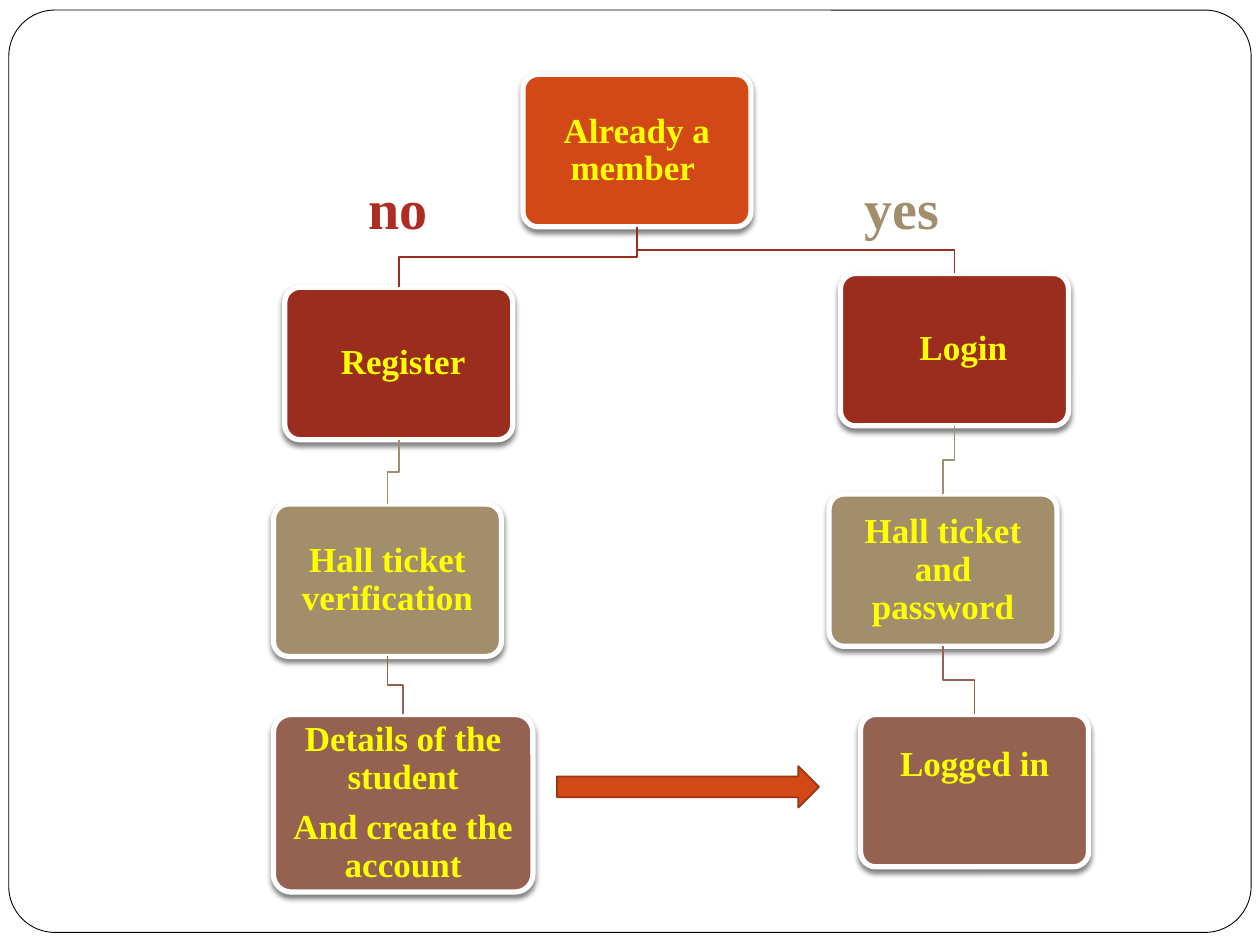
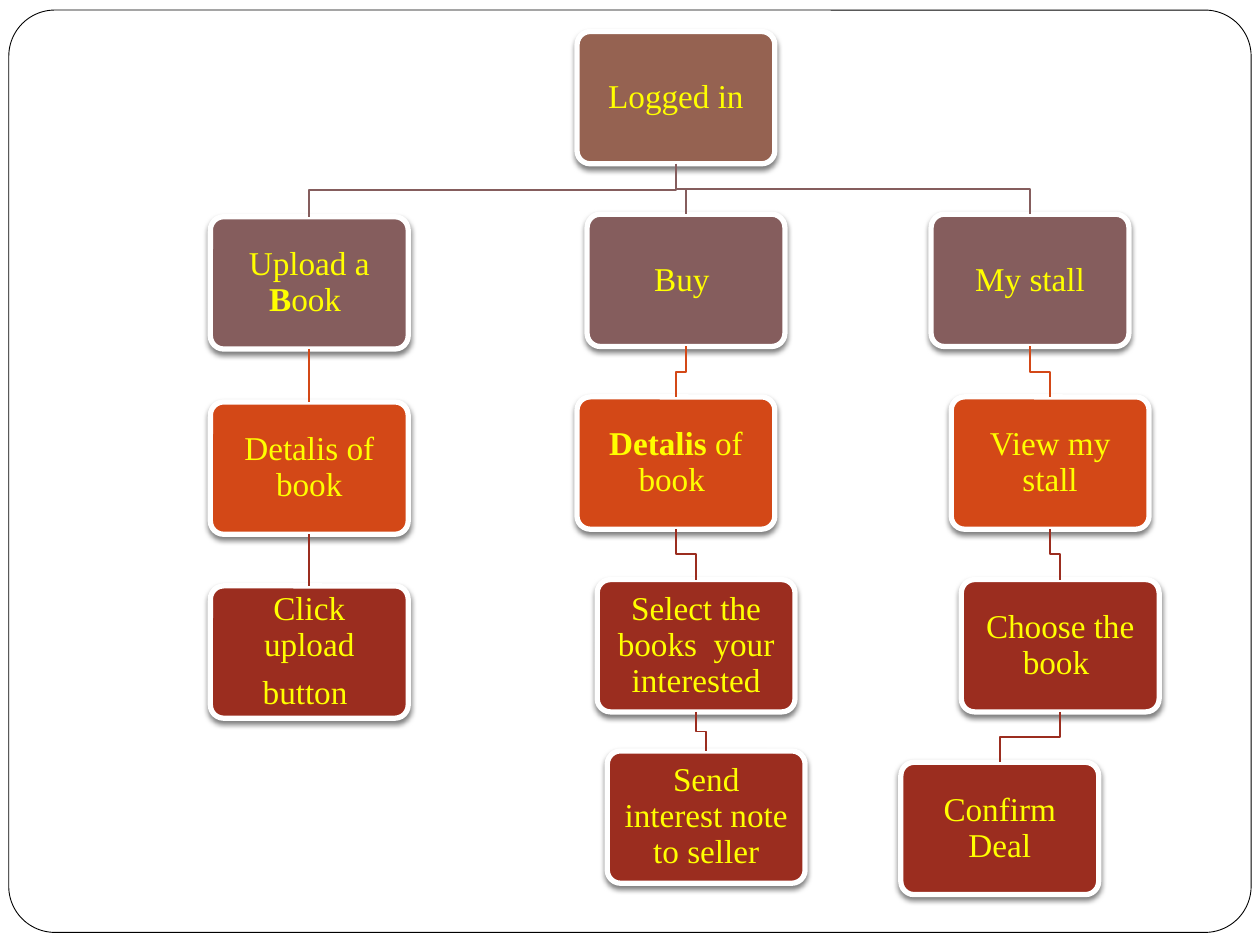
from lxml import etree
from pptx import Presentation
from pptx import util as u
from pptx.dml.color import RGBColor
from pptx.enum import shapes, text
from pptx.oxml import ns

WHITE = RGBColor(0xFF, 0xFF, 0xFF)
BLACK = RGBColor(0x00, 0x00, 0x00)
YELLOW = RGBColor(0xFF, 0xFF, 0x00)
ORANGE = RGBColor(0xD3, 0x48, 0x17)
RUST = RGBColor(0x9C, 0x35, 0x11)
RED = RGBColor(0x9B, 0x2D, 0x1F)
CRIMSON = RGBColor(0xAF, 0x2C, 0x25)
TAN = RGBColor(0xA2, 0x8E, 0x6A)
BROWN = RGBColor(0x95, 0x62, 0x51)
MAUVE = RGBColor(0x85, 0x5D, 0x5D)
FACE = "Times New Roman"
KIND = shapes.MSO_SHAPE

# Content: a node is (paragraphs, shift from its column, top, extra format).
# A bar in the wording switches bold on and off.
STEP = 1.45      # row pitch of the stall chart
NUDGE = 0.08     # sideways unit of the stall chart


def row(n, drop=0):
    return 0.25 + n * STEP + drop


LOGIN = {
    "box": (1.81, 1.21), "size": 20, "bold": True,
    "tones": [ORANGE, RED, TAN, BROWN],
    "root": (["Already a member "], 4.15, 0.59, {}),
    "chains": [
        (2.17, [
            (["Register"], 0.09, 2.28, {"left": 0.07}),
            (["Hall ticket verification"], 0, 4, {}),
            (["Details of the student", "And create the account"], 0, 5.67,
             {"box": (2.06, 1.41)}),
        ]),
        (6.58, [
            (["Login"], 0.09, 2.17, {"left": 0.14}),
            (["Hall ticket and password"], 0, 3.92, {}),
            (["Logged in"], 0.25, 5.67, {"foot": 0.4}),
        ]),
    ],
}
STALL = {
    "box": (1.57, 1.05), "size": 19, "bold": False,
    "tones": [BROWN, MAUVE, ORANGE, RED, RED],
    "root": (["Logged in"], 4.58, row(0), {}),
    "chains": [
        (1.67, [
            (["Upload a |B|ook "], 0, row(1, 0.02), {}),
            (["Detalis of book"], 0, row(2, 0.04), {}),
            (["Click upload", "button "], 0, row(3, 0.05), {}),
        ]),
        (4.58, [
            (["Buy "], NUDGE, row(1), {}),
            (["|Detalis| of book "], 0, row(2), {}),
            (["Select the books  your interested"], 2 * NUDGE, row(3), {}),
            (["Send interest note to seller"], 3 * NUDGE, row(4, -0.09), {}),
        ]),
        (7.39, [
            (["My stall"], 0, row(1), {}),
            (["View my stall"], 2 * NUDGE, row(2), {}),
            (["Choose the book "], 3 * NUDGE, row(3), {}),
            (["Confirm Deal"], -3 * NUDGE, row(4), {}),
        ]),
    ],
}
LABELS = [("no", 2.75, CRIMSON), ("yes", 6.75, TAN)]


def paint(shape, fill, line, width):
    shape.shadow.inherit = False
    shape.fill.solid()
    shape.fill.fore_color.rgb = fill
    shape.line.color.rgb = line
    shape.line.width = u.Pt(width)


def add_shape(slide, kind, place, fill, line, width):
    shape = slide.shapes.add_shape(kind, *map(u.Inches, place))
    paint(shape, fill, line, width)
    return shape


def cast(shape):
    """Soft shadow straight below a card."""
    fx = shape.element.spPr.find(ns.qn("a:effectLst"))
    drop = etree.SubElement(fx, ns.qn("a:outerShdw"), blurRad=str(u.Pt(3)),
                            dist=str(u.Pt(2)), dir="5400000", rotWithShape="0")
    tone = etree.SubElement(drop, ns.qn("a:srgbClr"), val=str(BLACK))
    etree.SubElement(tone, ns.qn("a:alpha"), val="50000")


def write(frame, lines, size, bold, color, form):
    for i, line in enumerate(lines):
        para = frame.paragraphs[0] if i == 0 else frame.add_paragraph()
        for key, val in form.items():
            setattr(para, key, val)
        for n, part in enumerate(line.split("|")):
            if not part:
                continue
            run = para.add_run()
            run.text = part
            run.font.color.rgb = color
            look = {"name": FACE, "size": u.Pt(size), "bold": bold != (n % 2 == 1)}
            for key, val in look.items():
                setattr(run.font, key, val)


def add_card(slide, chart, lines, left, top, extra, tone):
    wide, high = extra.get("box", chart["box"])
    card = add_shape(slide, KIND.ROUNDED_RECTANGLE, (left, top, wide, high),
                     tone, WHITE, 3)
    card.adjustments[0] = 0.1
    cast(card)
    pad = 0.08
    frame = card.text_frame
    look = {"word_wrap": True, "vertical_anchor": text.MSO_ANCHOR.MIDDLE,
            "margin_left": u.Inches(pad + extra.get("left", 0)),
            "margin_right": u.Inches(pad), "margin_top": u.Inches(pad),
            "margin_bottom": u.Inches(pad + extra.get("foot", 0))}
    for key, val in look.items():
        setattr(frame, key, val)
    form = {"alignment": text.PP_ALIGN.CENTER, "line_spacing": 0.9,
            "space_after": u.Pt(round(chart["size"] * 0.35))}
    write(frame, lines, chart["size"], chart["bold"], YELLOW, form)
    return card


def link(slide, top, low, tone):
    """Line from the foot of one card to the head of the next."""
    x1, y1 = top.left + top.width // 2, top.top + top.height
    x2, y2 = low.left + low.width // 2, low.top
    if x1 == x2:
        line = slide.shapes.add_connector(shapes.MSO_CONNECTOR.STRAIGHT,
                                          x1, y1, x2, y2)
        etree.SubElement(line.element.spPr, ns.qn("a:effectLst"))
    else:
        mid = (y1 + y2) // 2
        path = slide.shapes.build_freeform(x1, y1)
        path.add_line_segments([(x1, mid), (x2, mid), (x2, y2)], close=False)
        line = path.convert_to_shape()
        line.shadow.inherit = False
        line.fill.background()
    line.line.color.rgb = tone
    line.line.width = u.Pt(1)


def draw(slide, chart):
    tones = chart["tones"]
    root = add_card(slide, chart, *chart["root"], tones[0])
    for base, nodes in chart["chains"]:
        last = root
        for tone, (lines, shift, top, extra) in zip(tones[1:], nodes):
            card = add_card(slide, chart, lines, base + shift, top, extra, tone)
            link(slide, last, card, tone)
            last = card


def main():
    prs = Presentation()
    prs.slide_width, prs.slide_height = u.Inches(10), u.Inches(7.5)
    blank = prs.slide_layouts[6]
    first, second = (prs.slides.add_slide(blank) for _ in range(2))

    # Shared frame, kept on the master
    frame = add_shape(first, KIND.ROUNDED_RECTANGLE, (0.07, 0.08, 9.86, 7.32),
                      WHITE, BLACK, 0.5)
    frame.adjustments[0] = 0.05
    prs.slide_master.shapes.element.insert(2, frame.element)

    # Flow charts
    draw(first, LOGIN)
    draw(second, STALL)

    # Branch labels and arrow
    for word, left, tone in LABELS:
        box = first.shapes.add_textbox(*map(u.Inches, (left, 1.33, 0.82, 0.64)))
        box.text_frame.word_wrap = True
        write(box.text_frame, [word], 32, True, tone,
              {"alignment": text.PP_ALIGN.CENTER})
    add_shape(first, KIND.RIGHT_ARROW, (4.42, 6.08, 2.08, 0.33), ORANGE, RUST, 1)

    prs.save("out.pptx")


if __name__ == "__main__":
    main()
